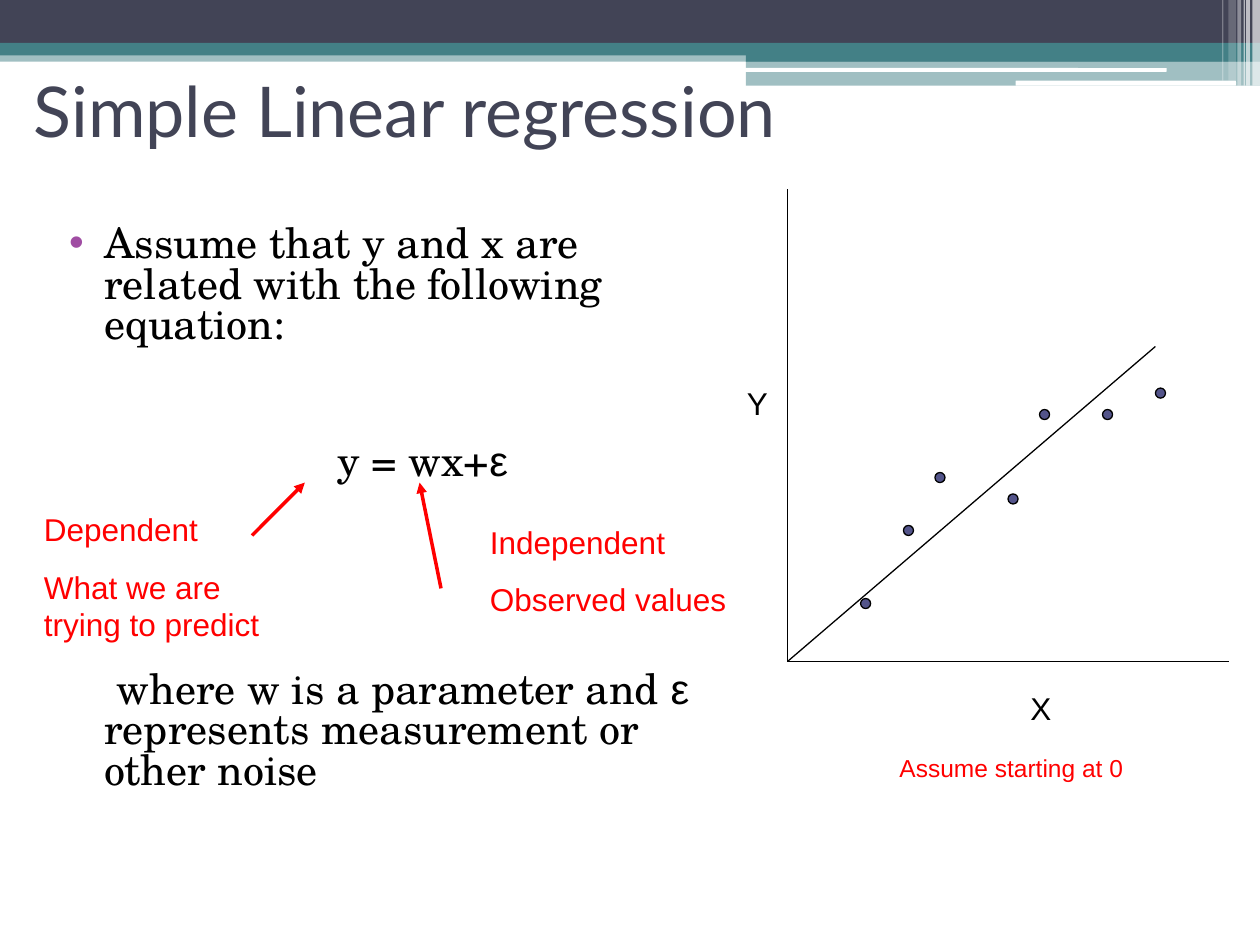
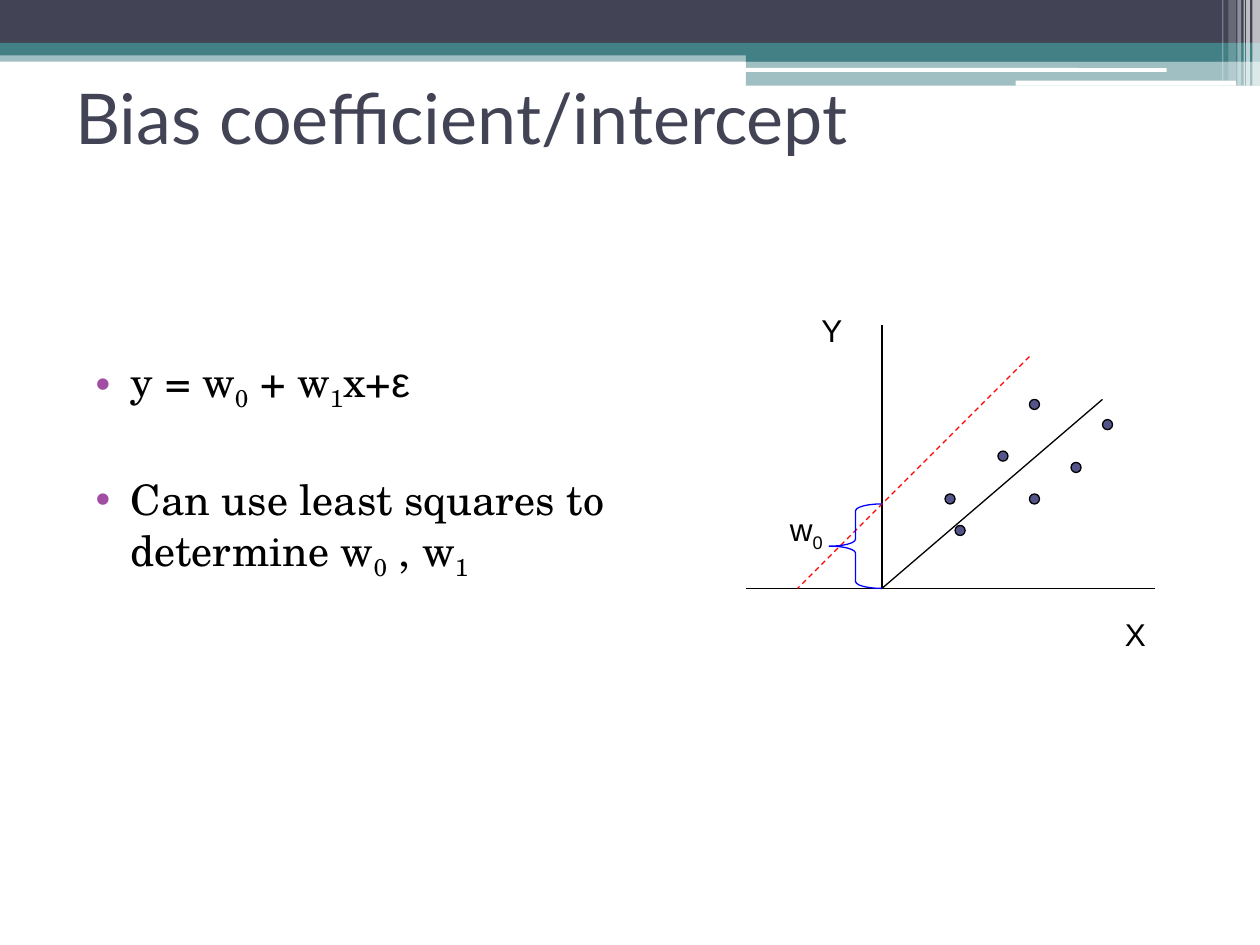
"""Build two slides on simple linear regression."""
from lxml import etree
from pptx import Presentation
from pptx.dml.color import RGBColor
from pptx.enum import dml, shapes, text
from pptx.oxml import ns
from pptx.util import Inches, Pt

SLATE, TEAL, WHITE, BLACK = "424456", "438086", "FFFFFF", "000000"
RED, BLUE, DOT_FILL, BULLET = "FF0000", "0000FF", "53548A", "A04DA3"
SERIF, SANS, TITLE_FONT = "TeX Gyre Schola", "Arial", "Lato"
DOT_SIZE = 0.08
RECT, ROUND = shapes.MSO_SHAPE.RECTANGLE, shapes.MSO_SHAPE.ROUNDED_RECTANGLE

# (shape, left, top, width, height, colour, opacity in percent)
BANDS = [
    (RECT, 0, 0.4, 10, 0.09, TEAL, 50),
    (RECT, 0, 0, 10, 0.34, SLATE, 100),
    (RECT, 0, 0.34, 10, 0.1, TEAL, 100),
    (RECT, 5.92, 0.39, 4.08, 0.1, TEAL, 100),
    (RECT, 5.92, 0.48, 4.08, 0.2, TEAL, 50),
    (ROUND, 5.91, 0.54, 3.35, 0.03, WHITE, 100),
    (ROUND, 8.06, 0.64, 1.75, 0.04, WHITE, 100),
    (RECT, 9.94, 0, 0.06, 0.68, WHITE, 65),
    (RECT, 9.89, 0, 0.03, 0.68, WHITE, 65),
    (RECT, 9.87, 0, 0.01, 0.68, WHITE, 60),
    (RECT, 9.82, 0, 0.03, 0.68, WHITE, 40),
    (RECT, 9.75, 0, 0.06, 0.64, WHITE, 20),
    (RECT, 9.7, 0, 0.01, 0.64, WHITE, 30),
]

BULLETED = {"margin": 0.4, "indent": -0.28, "bullet": True}

SLIDES = [
    {
        "title": ("Simple Linear regression", (0.17, 0.54, 7, 0.65)),
        "body": {
            "at": (0.33, 1.75, 5.5, 4.95),
            "line_spacing": 0.8,
            "paragraphs": [
                ([("Assume that y and x are related with the following equation:", "")], BULLETED),
                ([("y = wx+", ""), ("ε", "greek")], {"margin": 2.25, "before": 55.2}),
                ([("where w is a parameter and ", ""), ("ε", "greek"),
                  (" represents measurement or other noise", "")],
                 {"margin": 0.4, "indent": 0.1, "before": 107.3}),
            ],
        },
        "lines": [
            ((9.75, 5.25), (6.25, 5.25), {}),
            ((6.25, 5.25), (6.25, 1.5), {}),
            ((6.25, 5.25), (9.17, 2.75), {}),
            ((3.5, 4.67), (3.33, 3.83), {"color": RED, "width": 2, "arrow": True}),
            ((2, 4.25), (2.42, 3.83), {"color": RED, "width": 2, "arrow": True}),
        ],
        "dots": [(6.83, 4.75), (7.17, 4.17), (9.17, 3.08), (8.75, 3.25),
                 (8.25, 3.25), (8, 3.92), (7.42, 3.75)],
        "labels": [
            ((8.08, 5.42, 0.5, 0.4), [[("X", "")]], 18, BLACK),
            ((5.83, 3, 0.5, 0.4), [[("Y", "")]], 18, BLACK),
            ((0.25, 4, 1.92, 1.16), [[("Dependent", "")], [("What we are trying to predict", "")]], 18, RED),
            ((3.79, 4.1, 2.17, 0.86), [[("Independent", "")], [("Observed values", "")]], 18, RED),
            ((7.04, 5.93, 2.17, 0.34), [[("Assume starting at 0", "")]], 14, RED),
        ],
        "braces": [],
    },
    {
        "title": ("Bias coefficient/intercept", (0.5, 0.3, 9, 1.25)),
        "body": {
            "at": (0.54, 2.77, 4.42, 1.92),
            "line_spacing": 1.0,
            "paragraphs": [
                ([("y = w", ""), ("0", "sub"), (" + w", ""), ("1", "sub"), ("x+", ""), ("ε", "greek")], BULLETED),
                ([("Can use least squares to determine w", ""), ("0", "sub"), (" , w", ""), ("1", "sub")],
                 {**BULLETED, "before": 35}),
            ],
        },
        "lines": [
            ((9.17, 4.67), (5.92, 4.67), {}),
            ((7, 4.67), (7, 2.58), {}),
            ((7, 4.67), (8.75, 3.17), {}),
            ((8.17, 2.83), (6.33, 4.67), {"color": RED, "dashed": True}),
        ],
        "dots": [(7.58, 4.17), (7.92, 3.58), (7.5, 3.92), (8.5, 3.67),
                 (8.17, 3.92), (8.75, 3.33), (8.17, 3.17)],
        "labels": [
            ((8.83, 4.83, 0.5, 0.4), [[("X", "")]], 18, BLACK),
            ((6.42, 2.42, 0.5, 0.4), [[("Y", "")]], 18, BLACK),
            ((6.17, 4, 0.58, 0.44), [[("w", ""), ("0", "sub")]], 18, BLACK),
        ],
        "braces": [(6.58, 4, 0.42, 0.67)],
    },
]


def rgb(color):
    return RGBColor.from_string(color)


def add_xml(parent, tag, **attributes):
    return etree.SubElement(parent, ns.qn(tag), attributes)


def add_shape(page, kind, at, fill=None, line=None, opacity=100):
    shape = page.shapes.add_shape(kind, *map(Inches, at))
    shape.shadow.inherit = False
    if fill:
        shape.fill.solid()
        shape.fill.fore_color.rgb = rgb(fill)
        if opacity < 100:
            color = shape.fill._xPr.find(".//" + ns.qn("a:srgbClr"))
            add_xml(color, "a:alpha", val=str(opacity * 1000))
    else:
        shape.fill.background()
    if line:
        shape.line.color.rgb = rgb(line)
        shape.line.width = Pt(0.75)
    else:
        shape.line.fill.background()
    return shape


def add_line(page, start, end, color=BLACK, width=0.75, dashed=False, arrow=False):
    line = page.shapes.add_connector(shapes.MSO_CONNECTOR.STRAIGHT, *map(Inches, start + end))
    line.line.color.rgb = rgb(color)
    line.line.width = Pt(width)
    if dashed:
        line.line.dash_style = dml.MSO_LINE.DASH
    if arrow:
        add_xml(line.line._get_or_add_ln(), "a:tailEnd", type="triangle")
    add_xml(line._element.spPr, "a:effectLst")


def add_box(page, at):
    frame = page.shapes.add_textbox(*map(Inches, at)).text_frame
    frame.word_wrap = True
    return frame


def write(frame, index, spans, font, size, color, before=0.0, spacing=None,
          margin=0.0, indent=0.0, bullet=False):
    para = frame.add_paragraph() if index else frame.paragraphs[0]
    properties = para._p.get_or_add_pPr()
    properties.set("marL", str(Inches(margin)))
    properties.set("indent", str(Inches(indent)))
    if bullet:
        add_xml(add_xml(properties, "a:buClr"), "a:srgbClr", val=BULLET)
        add_xml(properties, "a:buFont", typeface=SANS)
        add_xml(properties, "a:buChar", char="•")
    para.font.name = font
    para.font.size = Pt(size)
    para.font.color.rgb = rgb(color)
    if index:
        para.space_before = Pt(before)
    if spacing:
        para.line_spacing = spacing
    for words, style in spans:
        span = para.add_run()
        span.text = words
        if style == "greek":
            span.font.name = SANS
        elif style == "sub":
            span._r.get_or_add_rPr().set("baseline", "-25000")


def add_frame(page, title, at):
    for kind, left, top, width, height, color, opacity in BANDS:
        add_shape(page, kind, (left, top, width, height), color, opacity=opacity)
    frame = add_box(page, at)
    frame.vertical_anchor = text.MSO_ANCHOR.MIDDLE
    write(frame, 0, [(title, "")], TITLE_FONT, 40, SLATE)


def add_body(page, body):
    frame = add_box(page, body["at"])
    for index, (spans, layout) in enumerate(body["paragraphs"]):
        write(frame, index, spans, SERIF, 24, BLACK, spacing=body["line_spacing"], **layout)


def add_plot(page, content):
    for start, end, style in content["lines"]:
        add_line(page, start, end, **style)
    for left, top in content["dots"]:
        add_shape(page, shapes.MSO_SHAPE.OVAL, (left, top, DOT_SIZE, DOT_SIZE), DOT_FILL, BLACK)
    for at in content["braces"]:
        brace = add_shape(page, shapes.MSO_SHAPE.LEFT_BRACE, at, line=BLUE)
        brace.adjustments[0] = 0.13
    for at, paragraphs, size, color in content["labels"]:
        frame = add_box(page, at)
        for index, spans in enumerate(paragraphs):
            write(frame, index, spans, SANS, size, color, before=11.2)


def main():
    deck = Presentation()
    deck.slide_width, deck.slide_height = Inches(10), Inches(7.5)
    for content in SLIDES:
        page = deck.slides.add_slide(deck.slide_layouts[6])
        add_frame(page, *content["title"])
        add_body(page, content["body"])
        add_plot(page, content)
    deck.save("out.pptx")


if __name__ == "__main__":
    main()
